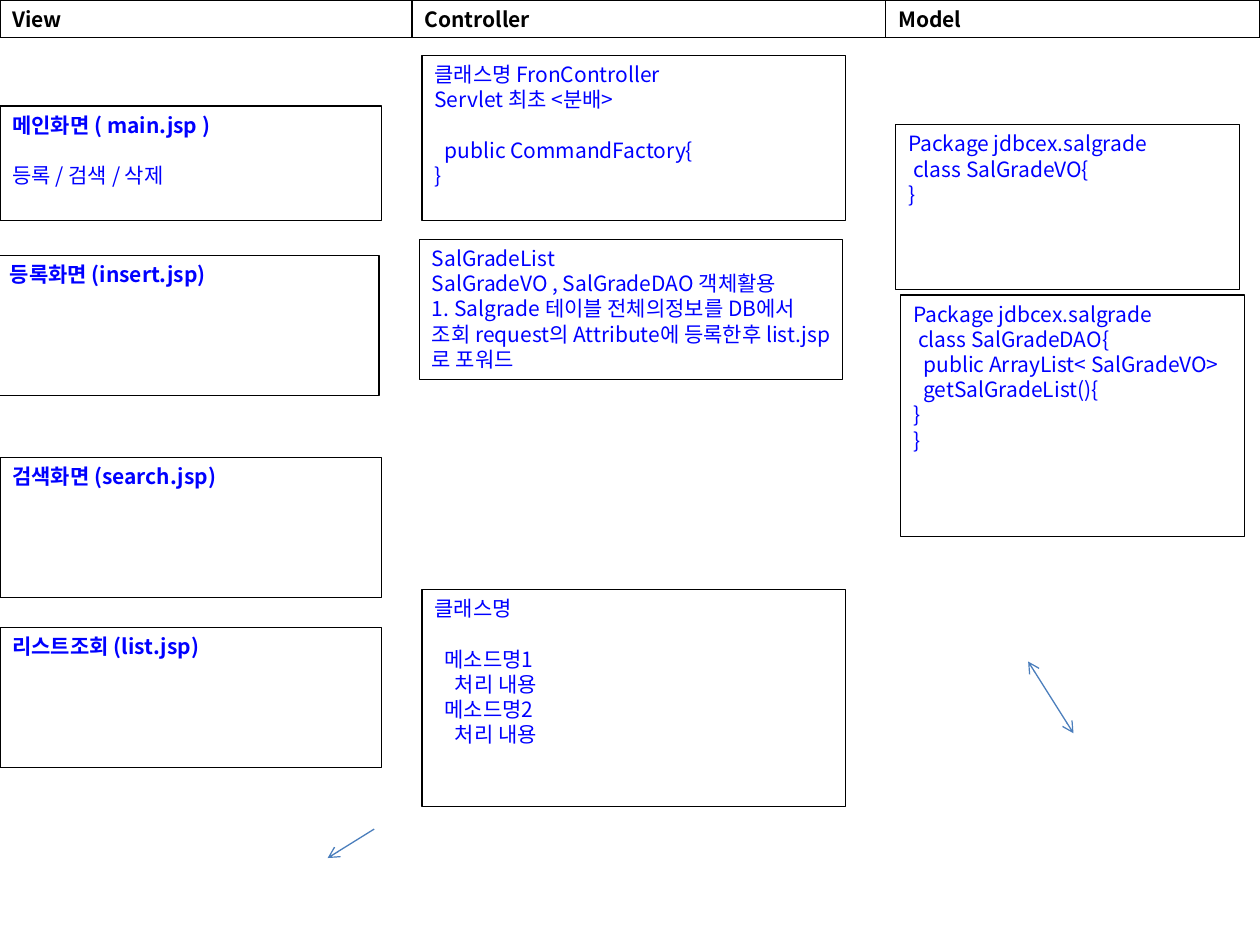
from dataclasses import dataclass
from itertools import accumulate

from lxml import etree
from pptx import Presentation
from pptx.dml.color import RGBColor
from pptx.enum.shapes import MSO_CONNECTOR, MSO_SHAPE
from pptx.enum.text import MSO_ANCHOR, PP_ALIGN
from pptx.oxml.ns import qn
from pptx.util import Inches, Pt

RECT = MSO_SHAPE.RECTANGLE
LINE = MSO_CONNECTOR.STRAIGHT
TOP = MSO_ANCHOR.TOP
LEFT = PP_ALIGN.LEFT
COLS, ROWS = 100, 75


@dataclass(frozen=True)
class Theme:
    font: str = "Noto Sans CJK KR"
    size: float = 12
    pitch: float = 14.4
    indent: float = 2.9
    stroke: float = 0.75
    ink: str = "000000"
    text: str = "0000FF"
    arrow: str = "4B7EBC"


@dataclass(frozen=True)
class Row:
    text: str
    step: int = 0
    gap: int = 0
    bold: bool = False


@dataclass(frozen=True)
class Box:
    x: float
    y: float
    w: float
    h: float
    rows: tuple[Row, ...]
    color: str


@dataclass(frozen=True)
class Arrow:
    x1: float
    y1: float
    x2: float
    y2: float
    ends: tuple[str, ...]


theme = Theme()
deck = Presentation()
deck.slide_width, deck.slide_height = Inches(10), Inches(7.5)
slide = deck.slides.add_slide(deck.slide_layouts[6])


def across(cols: float) -> int:
    return round(deck.slide_width * cols / COLS)


def down(rows: float) -> int:
    return round(deck.slide_height * rows / ROWS)


def draw_box(box: Box) -> None:
    shape = slide.shapes.add_shape(
        RECT, across(box.x), down(box.y), across(box.w), down(box.h))
    shape.shadow.inherit = False
    shape.fill.background()
    shape.line.color.rgb = RGBColor.from_string(theme.ink)
    shape.line.width = Pt(theme.stroke)
    frame = shape.text_frame
    frame.word_wrap = True
    frame.vertical_anchor = TOP
    for i, row in enumerate(box.rows):
        para = frame.add_paragraph() if i else frame.paragraphs[0]
        para.text = row.text
        para.alignment = LEFT
        para.line_spacing = Pt(theme.pitch)
        para.space_before = Pt(theme.pitch * row.gap)
        font = para.font
        font.name, font.size, font.bold = theme.font, Pt(theme.size), row.bold
        font.color.rgb = RGBColor.from_string(box.color)
        props = para._p.get_or_add_pPr()
        props.set("marL", str(Pt(theme.indent * row.step)))
        asian = etree.SubElement(props.find(qn("a:defRPr")), qn("a:ea"))
        asian.set("typeface", theme.font)


def draw_arrow(arrow: Arrow) -> None:
    link = slide.shapes.add_connector(
        LINE, across(arrow.x1), down(arrow.y1),
        across(arrow.x2), down(arrow.y2))
    link.line.color.rgb = RGBColor.from_string(theme.arrow)
    link.line.width = Pt(theme.stroke)
    stroke = link.line._get_or_add_ln()
    for end in arrow.ends:
        etree.SubElement(stroke, qn(f"a:{end}")).set("type", "arrow")
    etree.SubElement(link._element.spPr, qn("a:effectLst"))


def view(x: float, y: float, h: float, title: str, *rows: Row) -> Box:
    return Box(x, y, 30.3, h, (Row(title, bold=True), *rows), theme.text)


def control(x: float, y: float, h: float, *rows: Row) -> Box:
    return Box(x, y, 33.6, h, rows, theme.text)


def model(x: float, y: float, h: float, *rows: Row) -> Box:
    return Box(x, y, 27.3, h, (Row("Package jdbcex.salgrade"), *rows),
               theme.text)


names = ("View", "Controller", "Model")
widths = (32.7, 37.6, 29.7)
starts = accumulate(widths, initial=0)
heads = [Box(x, 0, w, 3, (Row(name, bold=True),), theme.ink)
         for name, x, w in zip(names, starts, widths)]

boxes = [
    control(33.5, 4.4, 13.1,
            Row("클래스명 FronController"),
            Row("Servlet 최초 <분배>"),
            Row("public CommandFactory{", 2, 1),
            Row("}")),
    model(71.1, 9.9, 13.1, Row("class SalGradeVO{", 1), Row("}")),
    view(-0.2, 20.3, 11.1, "등록화면 (insert.jsp)"),
    view(0, 8.4, 9.1, "메인화면 ( main.jsp )",
         Row("등록 / 검색 / 삭제", gap=1)),
    view(0, 36.3, 11.1, "검색화면 (search.jsp)"),
    control(33.3, 19, 11.1,
            Row("SalGradeList"),
            Row("SalGradeVO , SalGradeDAO 객체활용"),
            Row("1. Salgrade 테이블 전체의정보를 DB에서 조회 "
                "request의 Attribute에 등록한후 list.jsp로 포워드")),
    control(33.5, 46.8, 17.2,
            Row("클래스명"),
            Row("메소드명1", 2, 1),
            Row("처리 내용", 4),
            Row("메소드명2", 2),
            Row("처리 내용", 4)),
    view(0, 49.8, 11.1, "리스트조회 (list.jsp)"),
    model(71.5, 23.4, 19.2,
          Row("class SalGradeDAO{", 1),
          Row("public ArrayList< SalGradeVO>", 2),
          Row("getSalGradeList(){", 2),
          Row("}"),
          Row("}")),
]
arrows = [
    Arrow(29.7, 65.8, 26, 68.1, ("tailEnd",)),
    Arrow(81.6, 52.5, 85.2, 58.2, ("headEnd", "tailEnd")),
]

for box in heads + boxes:
    draw_box(box)
for arrow in arrows:
    draw_arrow(arrow)
deck.save("out.pptx")
